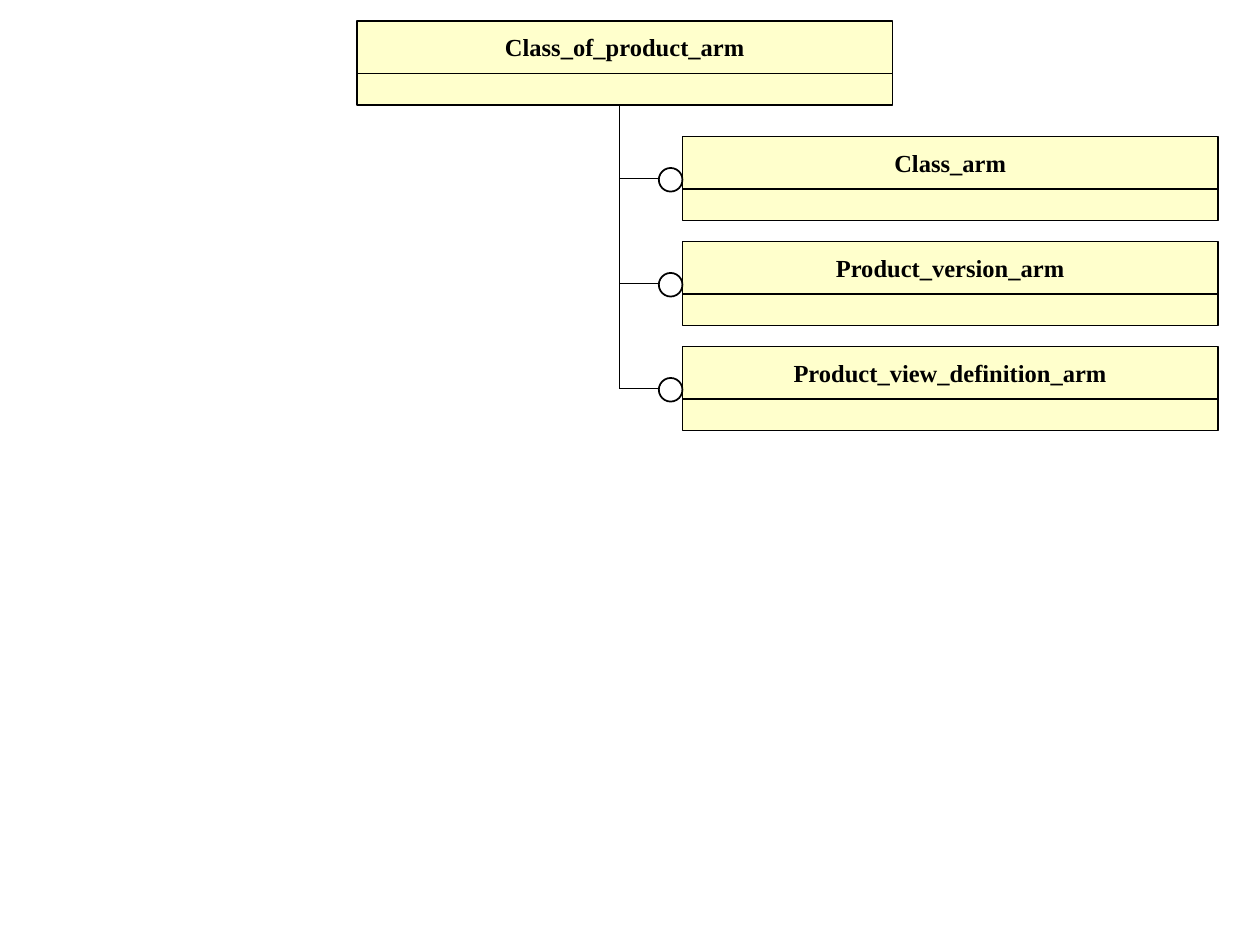
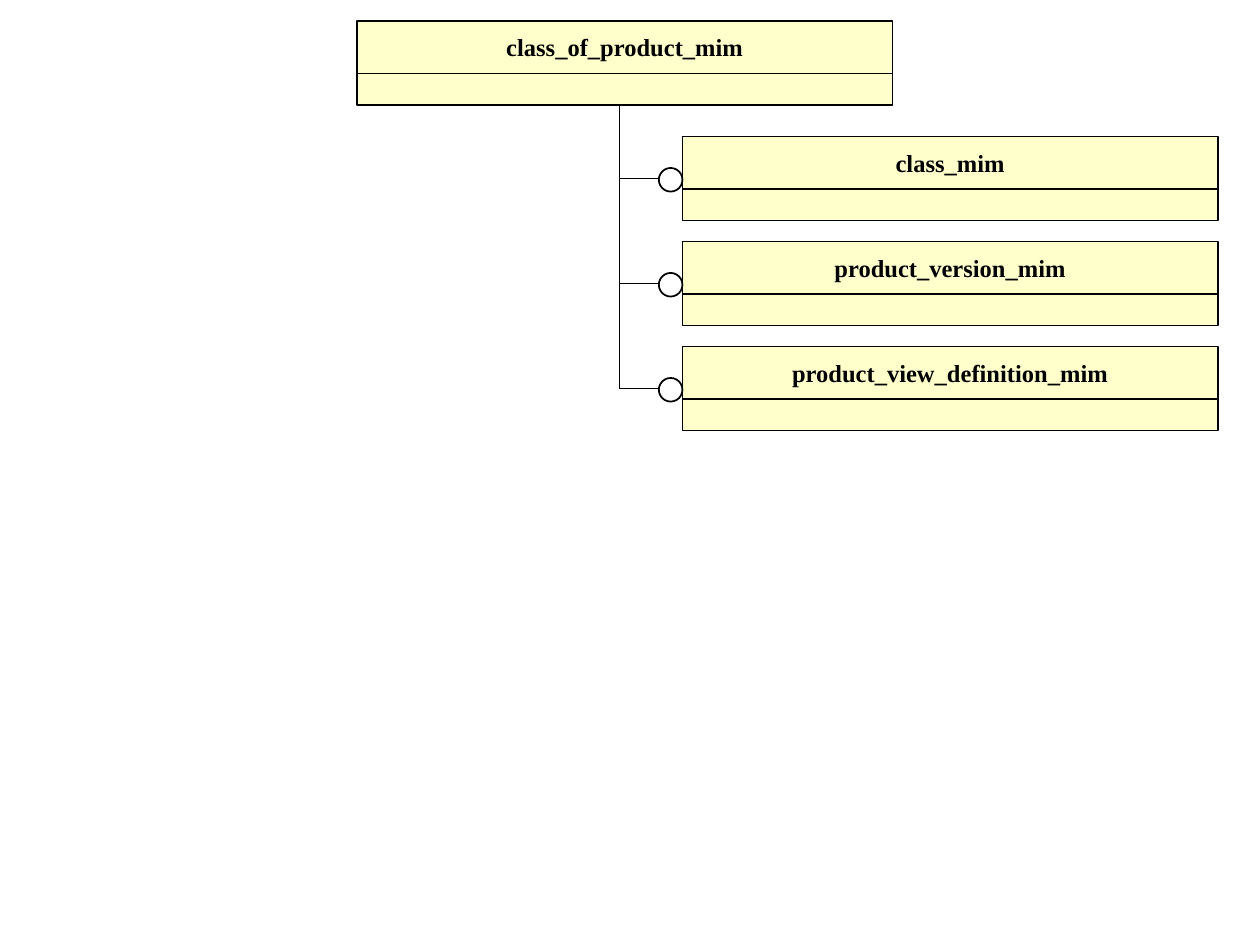
import pptx
import pptx.dml.color
import pptx.enum.shapes
import pptx.enum.text
import pptx.oxml.ns
import pptx.util
from lxml import etree

# Lengths are counted in grid cells, twelve to the inch.
CELL = pptx.util.Inches(1) // 12
SLIDE_COLUMNS, SLIDE_ROWS = 120, 90

BLACK, WHITE, ENTITY_FILL = "000000", "FFFFFF", "FFFFCC"
FONT = "Times New Roman"

ENTITY_WIDTH, NAME_HEIGHT, ATTRIBUTES_HEIGHT = 51, 5, 3
PARENT_LEFT, PARENT_TOP = 34, 2
CHILD_LEFT, FIRST_CHILD_TOP, CHILD_STEP = 65, 13, 10
TRUNK_COLUMN, BRANCH_END, BRANCH_OFFSET = 59, 63, 4
CIRCLE_SIZE, CIRCLE_OFFSET = 2.25, 3

DIAGRAMS = [
    ("Class_of_product_arm",
     ["Class_arm", "Product_version_arm", "Product_view_definition_arm"]),
    ("class_of_product_mim",
     ["class_mim", "product_version_mim", "product_view_definition_mim"]),
]


def cells(count):
    return pptx.util.Emu(round(count * CELL))


def color(hex_string):
    return pptx.dml.color.RGBColor.from_string(hex_string)


def write_text(shape, text, size=14, bold=True, text_color=BLACK):
    frame = shape.text_frame
    frame.word_wrap = False
    frame.vertical_anchor = pptx.enum.text.MSO_ANCHOR.MIDDLE
    paragraph = frame.paragraphs[0]
    paragraph.alignment = pptx.enum.text.PP_ALIGN.CENTER
    run = paragraph.add_run()
    run.text = text
    run.font.name = FONT
    run.font.size = pptx.util.Pt(size)
    run.font.bold = bold
    run.font.color.rgb = color(text_color)


def add_outlined(shapes, kind, left, top, width, height, fill, line_width=0.75):
    shape = shapes.add_shape(kind, cells(left), cells(top), cells(width), cells(height))
    shape.shadow.inherit = False
    shape.fill.solid()
    shape.fill.fore_color.rgb = color(fill)
    shape.line.color.rgb = color(BLACK)
    shape.line.width = pptx.util.Pt(line_width)
    return shape


def add_entity(slide, name, left, top):
    """Group a name box with the empty attribute box beneath it."""
    shapes = slide.shapes.add_group_shape().shapes
    rectangle = pptx.enum.shapes.MSO_SHAPE.RECTANGLE
    name_box = add_outlined(shapes, rectangle, left, top,
                            ENTITY_WIDTH, NAME_HEIGHT, ENTITY_FILL)
    write_text(name_box, name)
    add_outlined(shapes, rectangle, left, top + NAME_HEIGHT,
                 ENTITY_WIDTH, ATTRIBUTES_HEIGHT, ENTITY_FILL)


def add_line(slide, start_column, start_row, end_column, end_row):
    line = slide.shapes.add_connector(
        pptx.enum.shapes.MSO_CONNECTOR.STRAIGHT,
        cells(start_column), cells(start_row), cells(end_column), cells(end_row))
    line.line.color.rgb = color(BLACK)
    line.line.width = pptx.util.Pt(0.75)
    properties = line._element.find(pptx.oxml.ns.qn("p:spPr"))
    etree.SubElement(properties, pptx.oxml.ns.qn("a:effectLst"))


def add_child(slide, name, top):
    """Add a child entity, its branch from the trunk and the end circle."""
    add_entity(slide, name, CHILD_LEFT, top)
    branch_row = top + BRANCH_OFFSET
    add_line(slide, TRUNK_COLUMN, branch_row, BRANCH_END, branch_row)
    add_outlined(slide.shapes, pptx.enum.shapes.MSO_SHAPE.OVAL,
                 CHILD_LEFT - CIRCLE_SIZE, top + CIRCLE_OFFSET,
                 CIRCLE_SIZE, CIRCLE_SIZE, WHITE, line_width=1)


def add_diagram(presentation, parent, children):
    slide = presentation.slides.add_slide(presentation.slide_layouts[6])
    add_entity(slide, parent, PARENT_LEFT, PARENT_TOP)
    child_tops = [FIRST_CHILD_TOP + CHILD_STEP * index for index in range(len(children))]
    add_line(slide, TRUNK_COLUMN, child_tops[-1] + BRANCH_OFFSET,
             TRUNK_COLUMN, PARENT_TOP + NAME_HEIGHT + ATTRIBUTES_HEIGHT)
    for name, top in zip(children, child_tops):
        add_child(slide, name, top)


def main():
    presentation = pptx.Presentation()
    presentation.slide_width = cells(SLIDE_COLUMNS)
    presentation.slide_height = cells(SLIDE_ROWS)
    for parent, children in DIAGRAMS:
        add_diagram(presentation, parent, children)
    presentation.save("out.pptx")


if __name__ == "__main__":
    main()
